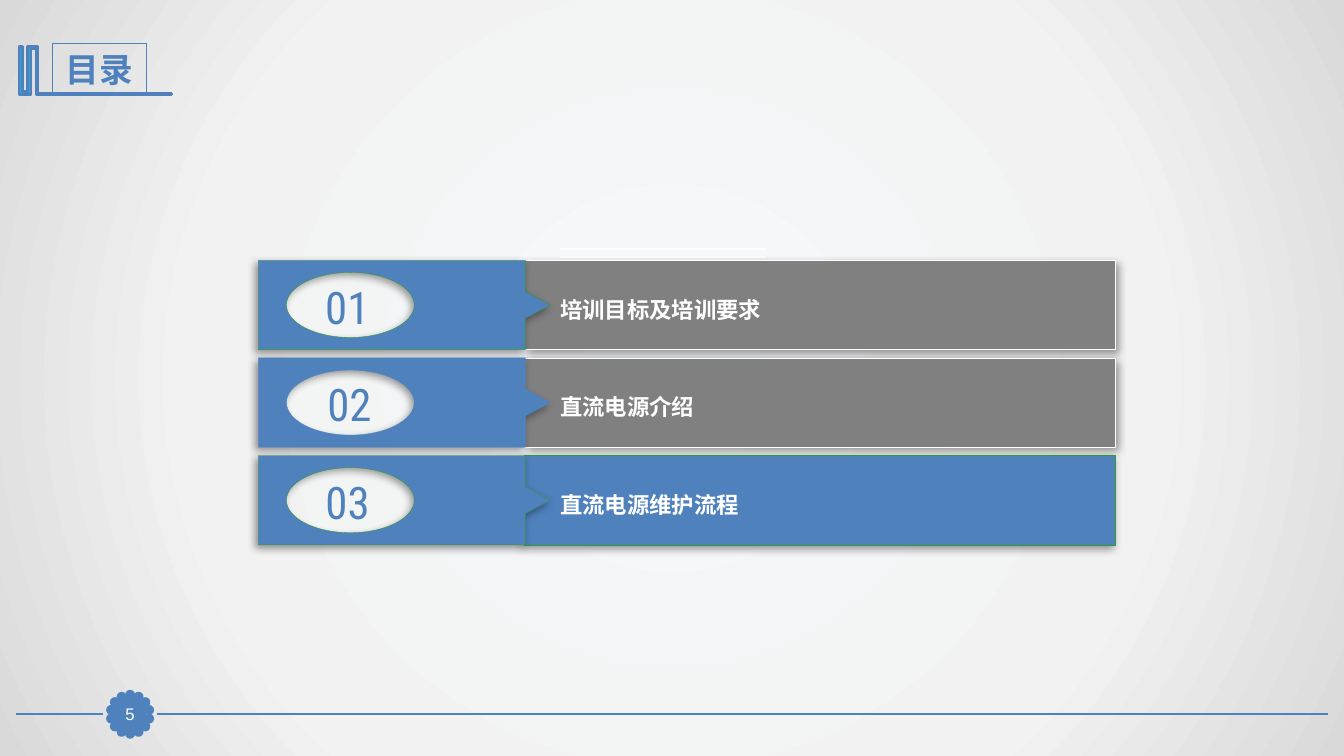
from dataclasses import dataclass
from math import cos, pi, sin

from pptx import Presentation
from pptx.dml.color import RGBColor
from pptx.enum.shapes import MSO_CONNECTOR, MSO_SHAPE
from pptx.enum.text import MSO_ANCHOR, PP_ALIGN
from pptx.oxml import parse_xml
from pptx.oxml.ns import nsdecls, qn
from pptx.util import Cm, Pt

RECT, OVAL = MSO_SHAPE.RECTANGLE, MSO_SHAPE.OVAL
LINE = MSO_CONNECTOR.STRAIGHT
MIDDLE, TOP = MSO_ANCHOR.MIDDLE, MSO_ANCHOR.TOP
CENTER, LEFT = PP_ALIGN.CENTER, PP_ALIGN.LEFT


@dataclass(frozen=True)
class Theme:
    blue: str = "4F81BD"
    cyan: str = "28A9D6"
    gray: str = "808080"
    green: str = "339933"
    white: str = "FFFFFF"
    back: tuple = ((0, "F6F9FC"), (63, "F2F2F2"), (100, "D9D9D9"))
    head: str = "Roboto Condensed"
    body: str = "Arial"
    title: int = 24
    number: int = 32
    label: int = 16
    page: int = 12


THEME = Theme()
# number, its box offset and width, label, bar fill, bar edge, tag edge, shadow angle
ROWS = [
    ("01", 1.06, 2.37, "培训目标及培训要求", THEME.gray, THEME.white, THEME.green, 45),
    ("02", 1.02, 2.56, "直流电源介绍", THEME.gray, THEME.white, THEME.blue, 45),
    ("03", 0.97, 2.56, "直流电源维护流程", THEME.blue, THEME.green, THEME.green, 135),
]


def rgb(code):
    return RGBColor.from_string(code)


def paint(shape, fill, edge, width):
    if fill:
        shape.fill.solid()
        shape.fill.fore_color.rgb = rgb(fill)
    else:
        shape.fill.background()
    shape.line.color.rgb = rgb(edge)
    shape.line.width = Pt(width)
    shape.shadow.inherit = False


def shade(shape, angle):
    """Give the shape a soft outer shadow cast at an angle in degrees."""
    props = shape._element.spPr
    props.remove(props.find(qn("a:effectLst")))
    props.append(parse_xml(
        f'<a:effectLst {nsdecls("a")}><a:outerShdw blurRad="{Pt(6)}" dist="{Pt(3)}" '
        f'dir="{angle * 60000}" algn="tl" rotWithShape="0"><a:srgbClr val="000000">'
        '<a:alpha val="40000"/></a:srgbClr></a:outerShdw></a:effectLst>'))


def write(shape, text, size, font, color, bold=False, align=CENTER, anchor=MIDDLE):
    frame = shape.text_frame
    frame.text = text
    frame.word_wrap = True
    frame.vertical_anchor = anchor
    para = frame.paragraphs[0]
    para.alignment = align
    face = para.runs[0].font
    face.size, face.name, face.bold = Pt(size), font, bold
    face.color.rgb = rgb(color)


def rule(slide, left, right, y, color, width):
    line = slide.shapes.add_connector(LINE, Cm(left), Cm(y), Cm(right), Cm(y))
    line.line.color.rgb = rgb(color)
    line.line.width = Pt(width)
    line._element.spPr.append(parse_xml(f'<a:effectLst {nsdecls("a")}/>'))


def outline(slide, x, y, loop):
    """Build a closed freeform from points relative to x, y."""
    pts = [(Cm(x + a), Cm(y + b)) for a, b in loop]
    pen = slide.shapes.build_freeform(*pts[0])
    pen.add_line_segments(pts[1:], close=True)
    return pen.convert_to_shape()


def pierce(shape, cx, cy, rx, ry):
    """Cut an oval hole, in lengths relative to the shape, out of a freeform."""
    def spot(a, b):
        return f'<a:pt x="{Cm(cx + a * rx)}" y="{Cm(cy + b * ry)}"/>'

    k = 0.55
    arcs = ""
    for c, s in ((1, 0), (0, 1), (-1, 0), (0, -1)):
        arcs += ("<a:cubicBezTo>" + spot(c - k * s, s + k * c)
                 + spot(k * c - s, k * s + c) + spot(-s, c) + "</a:cubicBezTo>")
    hole = parse_xml(f'<a:path {nsdecls("a")}><a:moveTo>{spot(1, 0)}</a:moveTo>'
                     f'{arcs}<a:close/></a:path>')
    shape._element.find(".//" + qn("a:path")).extend(list(hole))


def backdrop(slide):
    slide.background.fill.solid()
    props = slide._element.find(".//" + qn("p:bgPr"))
    stops = "".join(f'<a:gs pos="{pos * 1000}"><a:srgbClr val="{code}"/></a:gs>'
                    for pos, code in THEME.back)
    props.replace(props[0], parse_xml(
        f'<a:gradFill {nsdecls("a")} rotWithShape="1"><a:gsLst>{stops}</a:gsLst>'
        '<a:path path="circle"><a:fillToRect l="50000" t="50000" r="50000" b="50000"/>'
        '</a:path></a:gradFill>'))


def header(slide, x, y):
    books = [(0.44, 0), (0.48, 0), (0.48, 1.18), (3.85, 1.18), (3.85, 1.21),
             (0.44, 1.21), (0.43, 1.21), (0.43, 0.05), (0.3, 0.05), (0.3, 1.21),
             (0, 1.21), (0, 0), (0.08, 0), (0.08, 1.14), (0.22, 1.14), (0.22, 0)]
    paint(outline(slide, x, y, books), THEME.cyan, THEME.blue, 2)
    title = slide.shapes.title
    title.left, title.top = Cm(x + 0.84), Cm(y - 0.07)
    title.width, title.height = Cm(2.37), Cm(1.28)
    title.fill.background()
    title.line.color.rgb = rgb(THEME.blue)
    title.line.width = Pt(0.75)
    write(title, "目录", THEME.title, THEME.head, THEME.blue, True)


def footer(slide, x, y, width):
    """Draw the bottom rule with a scalloped page badge."""
    hub, dot, ring, side, count = x + 2.88, 0.18, 0.49, 0.8, 14
    rule(slide, hub + 0.68, x + width, y, THEME.blue, 1.25)
    rule(slide, x, hub - 0.68, y, THEME.blue, 1.25)
    for i in range(count):
        turn = 2 * pi * i / count
        bead = slide.shapes.add_shape(
            OVAL, Cm(hub + ring * sin(turn) - dot / 2),
            Cm(y - ring * cos(turn) - dot / 2), Cm(dot), Cm(dot))
        paint(bead, THEME.blue, THEME.blue, 2)
    badge = slide.shapes.add_shape(
        RECT, Cm(hub - side / 2), Cm(y - side / 2), Cm(side), Cm(side))
    paint(badge, THEME.blue, THEME.blue, 0.75)
    frame = badge.text_frame
    frame.margin_left = frame.margin_right = frame.margin_top = frame.margin_bottom = 0
    write(badge, "5", THEME.page, THEME.body, THEME.white)


def entry(slide, x, y, width, height, row):
    """Draw one agenda row: bar, pointed tag with oval hole, number and label."""
    number, inset, span, label, fill, edge, rim, angle = row
    tag, tip, mid = 6.73, 7.36, height / 2
    bar = slide.shapes.add_shape(
        RECT, Cm(x + 6.7), Cm(y), Cm(width - 6.7), Cm(height))
    paint(bar, fill, edge, 0.25)
    shade(bar, angle)

    flag = outline(slide, x, y, [
        (0, 0), (tag, 0), (tag, mid - 0.34), (tip, mid), (tag, mid + 0.34),
        (tag, height), (0, height)])
    pierce(flag, 2.32, mid, 1.61, 0.82)
    paint(flag, THEME.blue, rim, 0.25)
    shade(flag, 135)

    box = slide.shapes.add_textbox(Cm(x + inset), Cm(y + 0.34), Cm(span), Cm(1.63))
    write(box, number, THEME.number, THEME.head, THEME.blue)
    box = slide.shapes.add_textbox(Cm(x + tip), Cm(y + 0.77), Cm(width - tip), Cm(0.94))
    write(box, label, THEME.label, THEME.body, THEME.white, True, LEFT, TOP)


def agenda(slide, x, y, width, pitch):
    for gap in (0.29, 0.08):
        rule(slide, x + 7.59, x + 12.8, y - gap, THEME.white, 1.5)
    for i, row in enumerate(ROWS):
        entry(slide, x, y + i * pitch, width, 2.25, row)


def main():
    deck = Presentation()
    deck.slide_width, deck.slide_height = Cm(33.87), Cm(19.05)
    slide = deck.slides.add_slide(deck.slide_layouts[5])
    backdrop(slide)
    footer(slide, 0.4, 18, 33.07)
    header(slide, 0.48, 1.17)
    agenda(slide, 6.51, 6.56, 21.6, 2.46)
    deck.save("out.pptx")


if __name__ == "__main__":
    main()
